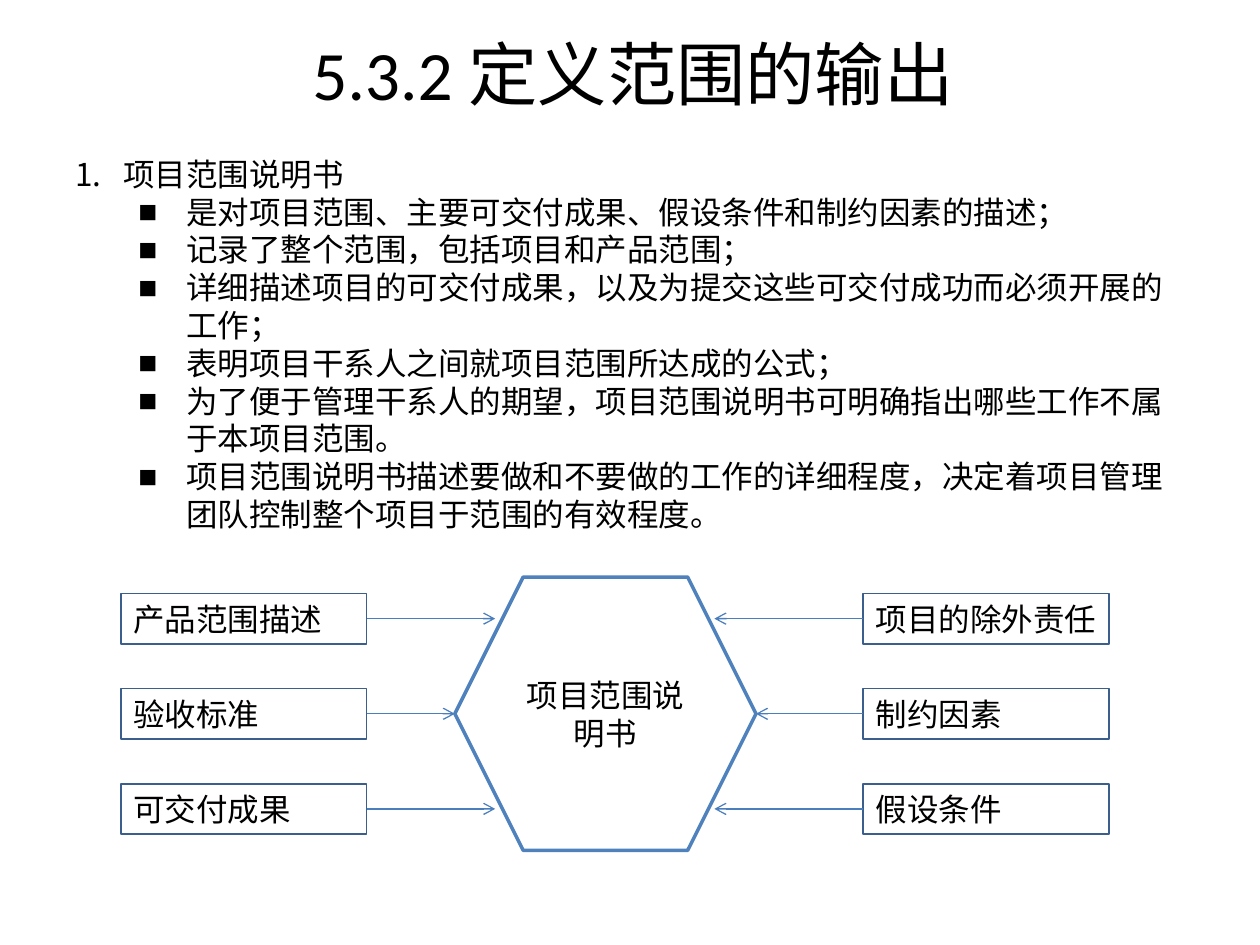
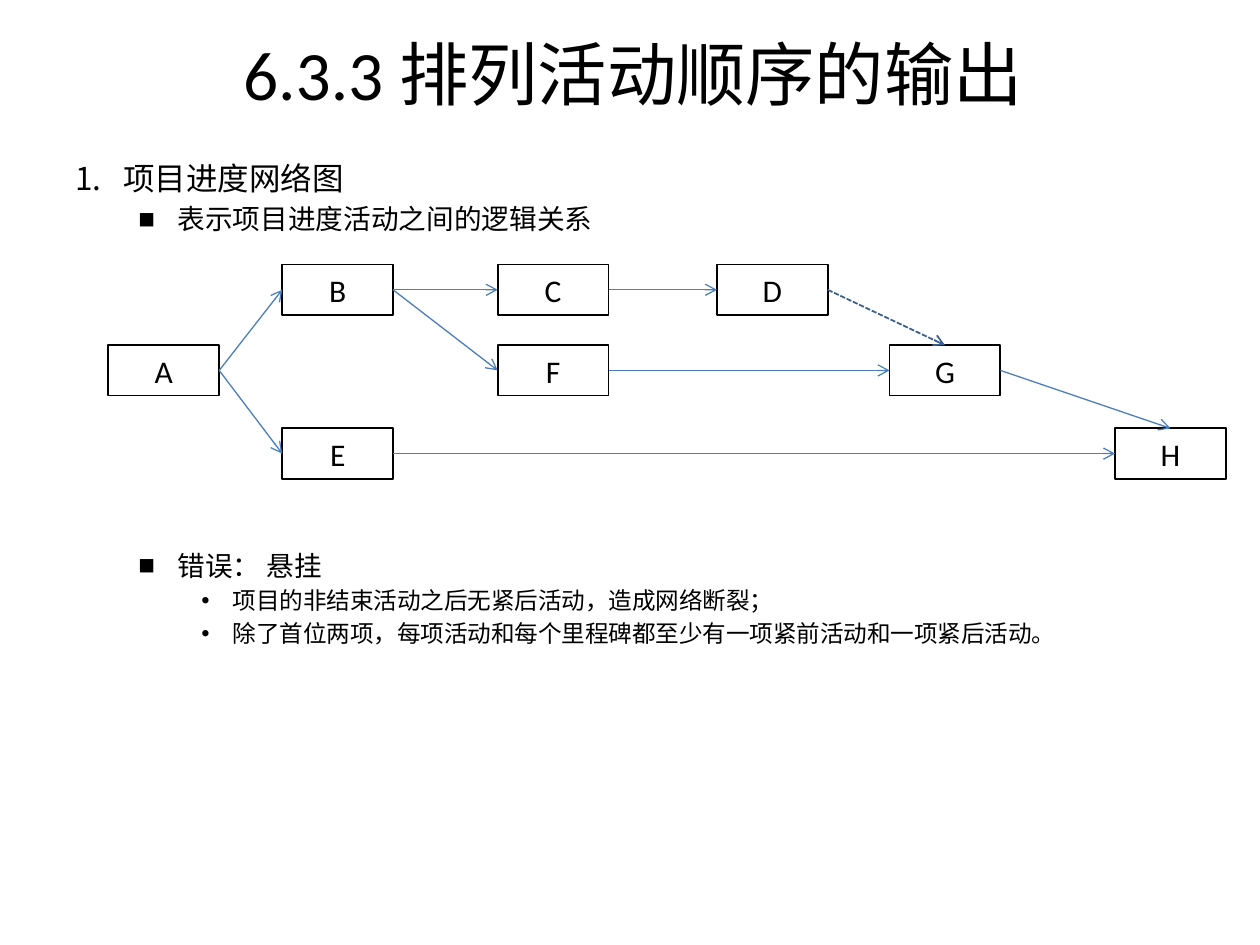
from dataclasses import dataclass

from lxml import etree
from pptx import Presentation
from pptx import util as u
from pptx.dml.color import RGBColor
from pptx.enum import dml, shapes, text
from pptx.oxml import ns


@dataclass(frozen=True)
class Theme:
    font: str = "Calibri"
    ink: str = "000000"
    paper: str = "FFFFFF"
    accent: str = "4F81BD"
    arrow: str = "4B7EBC"
    border: str = "3A5F8C"
    title_size: float = 39.6
    text_size: float = 18
    point_size: float = 15.8
    detail_size: float = 13.5


THEME = Theme()
NUMBER, SQUARE, DOT = "1.", "■", "•"
TOP, LEFT, RIGHT = 0, 1, 3


class SlideBuilder:
    def __init__(self, deck, theme):
        self.deck = deck
        self.theme = theme
        self.slide = None

    def start(self, title):
        self.slide = self.deck.slides.add_slide(self.deck.slide_layouts[6])
        frame = self.text_frame(0.5, 0.3, 9, 0.55)
        frame.vertical_anchor = text.MSO_ANCHOR.MIDDLE
        self.set_text(frame.paragraphs[0], title, self.theme.title_size, text.PP_ALIGN.CENTER)

    def text_frame(self, left, top, width, height):
        box = self.slide.shapes.add_textbox(*map(u.Inches, (left, top, width, height)))
        frame = box.text_frame
        frame.word_wrap = True
        frame.margin_right = u.Inches(0.05)
        return frame

    def set_text(self, para, words, size, align=text.PP_ALIGN.LEFT):
        para.text = words
        para.alignment = align
        para.font.name = self.theme.font
        para.font.size = u.Pt(size)
        para.font.color.rgb = RGBColor.from_string(self.theme.ink)

    def bullet(self, para, mark, margin, hanging):
        props = para._p.get_or_add_pPr()
        props.set("marL", str(u.Inches(margin)))
        props.set("indent", str(-u.Inches(hanging)))
        if mark == NUMBER:
            etree.SubElement(props, ns.qn("a:buFont"), typeface=self.theme.font)
            etree.SubElement(props, ns.qn("a:buAutoNum"), type="arabicPeriod")
        else:
            etree.SubElement(props, ns.qn("a:buFont"), typeface="Arial")
            etree.SubElement(props, ns.qn("a:buChar"), char=mark)

    def outline(self, left, top, width, height, items, levels):
        frame = self.text_frame(left, top, width, height)
        for index, (mark, words, gap) in enumerate(items):
            para = frame.add_paragraph() if index else frame.paragraphs[0]
            size, margin, hanging = levels[mark]
            self.bullet(para, mark, margin, hanging)
            para.space_before = u.Pt(gap)
            self.set_text(para, words, size)

    def box(self, words, left, top, width, height, color, weight=1,
            align=text.PP_ALIGN.CENTER, kind=shapes.MSO_SHAPE.RECTANGLE, fill=None):
        box = self.slide.shapes.add_shape(kind, *map(u.Inches, (left, top, width, height)))
        box.shadow.inherit = False
        if fill:
            box.fill.solid()
            box.fill.fore_color.rgb = RGBColor.from_string(fill)
        else:
            box.fill.background()
        box.line.color.rgb = RGBColor.from_string(color)
        box.line.width = u.Pt(weight)
        frame = box.text_frame
        frame.word_wrap = True
        frame.margin_right = u.Inches(0.05 if align == text.PP_ALIGN.LEFT else 0.1)
        self.set_text(frame.paragraphs[0], words, self.theme.text_size, align)
        return box

    def arrow(self, start, end, dashed=False):
        line = self.slide.shapes.add_connector(
            shapes.MSO_CONNECTOR.STRAIGHT, *map(u.Inches, (*start, *end)))
        color = self.theme.border if dashed else self.theme.arrow
        line.line.color.rgb = RGBColor.from_string(color)
        line.line.width = u.Pt(1 if dashed else 0.75)
        if dashed:
            line.line.dash_style = dml.MSO_LINE.SQUARE_DOT
        props = line._element.spPr
        etree.SubElement(props.find(ns.qn("a:ln")), ns.qn("a:tailEnd"), type="arrow")
        etree.SubElement(props, ns.qn("a:effectLst"))
        return line

    def connect(self, source, target, site, dashed=False):
        line = self.arrow((0, 0), (1, 1), dashed)
        line.begin_connect(source, RIGHT)
        line.end_connect(target, site)


def scope_slide(page):
    page.start("5.3.2 定义范围的输出")
    points = [
        "是对项目范围、主要可交付成果、假设条件和制约因素的描述；",
        "记录了整个范围，包括项目和产品范围；",
        "详细描述项目的可交付成果，以及为提交这些可交付成功而必须开展的工作；",
        "表明项目干系人之间就项目范围所达成的公式；",
        "为了便于管理干系人的期望，项目范围说明书可明确指出哪些工作不属于本项目范围。",
        "项目范围说明书描述要做和不要做的工作的详细程度，决定着项目管理团队控制整个项目于范围的有效程度。",
    ]
    size = page.theme.text_size
    page.outline(0.5, 1.18, 8.83, 3.4,
                 [(NUMBER, "项目范围说明书", 0)] + [(SQUARE, point, 0) for point in points],
                 {NUMBER: (size, 0.38, 0.38), SQUARE: (size, 0.88, 0.38)})

    page.box("项目范围说明书", 3.61, 4.58, 2.39, 2.17, page.theme.accent, 2,
             kind=shapes.MSO_SHAPE.HEXAGON, fill=page.theme.paper)
    width, height, first_top, last_top = 1.95, 0.4, 4.71, 6.22
    pitch = (last_top - first_top) / 2
    sides = [
        (0.96, 0.96 + width, (3.93, 3.61, 3.93), ("产品范围描述", "验收标准", "可交付成果")),
        (6.85, 6.85, (5.67, 6, 5.67), ("项目的除外责任", "制约因素", "假设条件")),
    ]
    for left, edge, tips, labels in sides:
        for row, (tip, label) in enumerate(zip(tips, labels)):
            top = first_top + row * pitch
            middle = top + height / 2
            page.box(label, left, top, width, height, page.theme.border,
                     align=text.PP_ALIGN.LEFT)
            page.arrow((edge, middle), (tip, middle))


def network_slide(page):
    page.start("6.3.3 排列活动顺序的输出")
    theme = page.theme
    page.outline(0.5, 1.21, 9, 5.49, [
        (NUMBER, "项目进度网络图", 0),
        (SQUARE, "表示项目进度活动之间的逻辑关系", 3.2),
        (SQUARE, "错误： 悬挂", 179),
        (DOT, "项目的非结束活动之后无紧后活动，造成网络断裂；", 2.7),
        (DOT, "除了首位两项，每项活动和每个里程碑都至少有一项紧前活动和一项紧后活动。", 2.7),
    ], {
        NUMBER: (theme.text_size, 0.38, 0.38),
        SQUARE: (theme.point_size, 0.81, 0.31),
        DOT: (theme.detail_size, 1.25, 0.25),
    })

    upper, middle, lower = 2.1, 2.74, 3.4
    places = {
        "A": (0.86, middle), "B": (2.24, upper), "E": (2.24, lower), "C": (3.95, upper),
        "D": (5.69, upper), "G": (7.06, middle), "H": (8.85, lower), "F": (3.95, middle),
    }
    activities = {name: page.box(name, left, top, 0.88, 0.4, theme.ink)
                  for name, (left, top) in places.items()}
    for source, target in ("AB", "AE", "EH", "BC", "BF", "CD", "FG"):
        page.connect(activities[source], activities[target], LEFT)
    page.connect(activities["D"], activities["G"], TOP, dashed=True)
    page.connect(activities["G"], activities["H"], TOP)


def main():
    deck = Presentation()
    deck.slide_width = u.Inches(10)
    deck.slide_height = u.Inches(7.5)
    page = SlideBuilder(deck, THEME)
    scope_slide(page)
    network_slide(page)
    deck.save("out.pptx")


if __name__ == "__main__":
    main()
